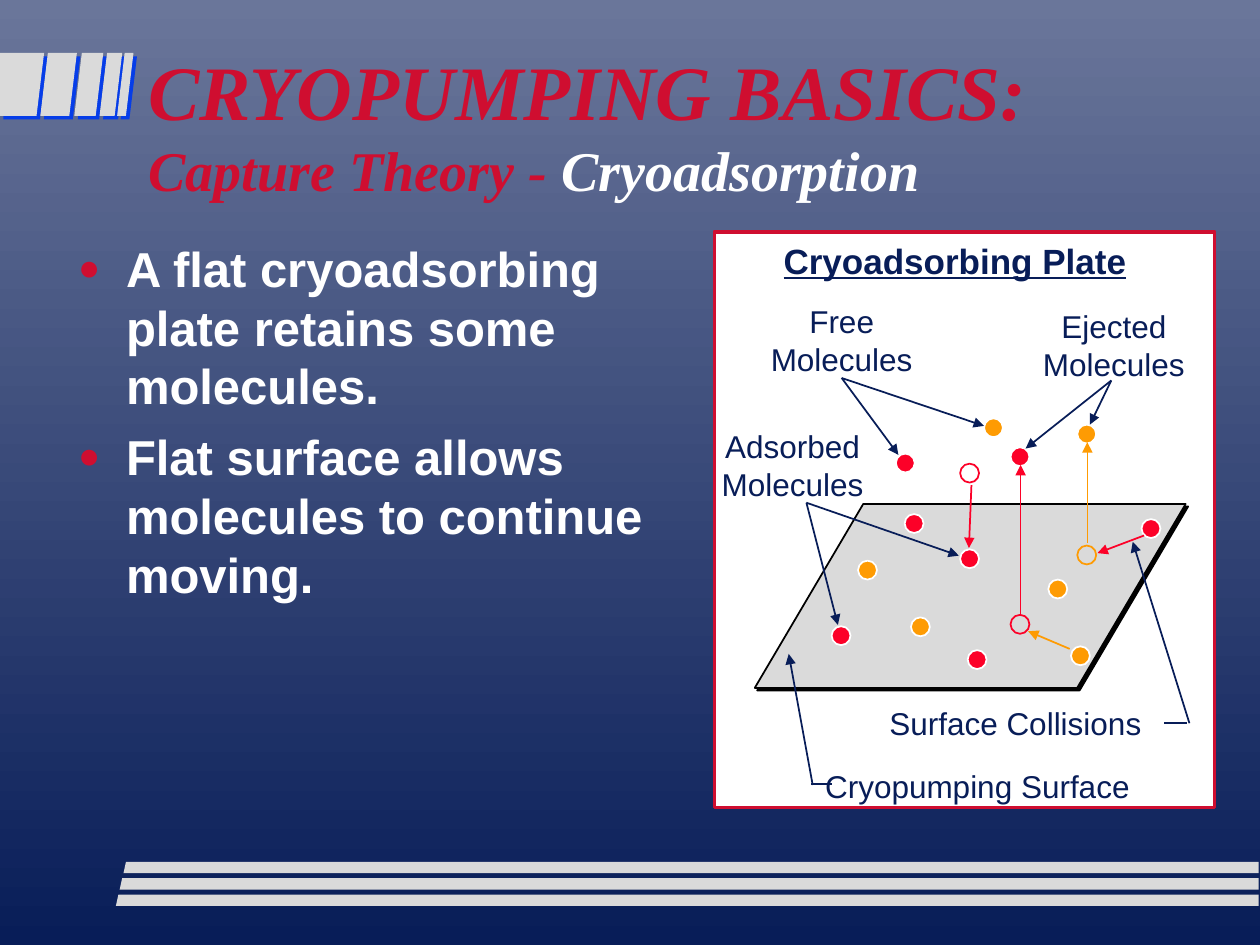
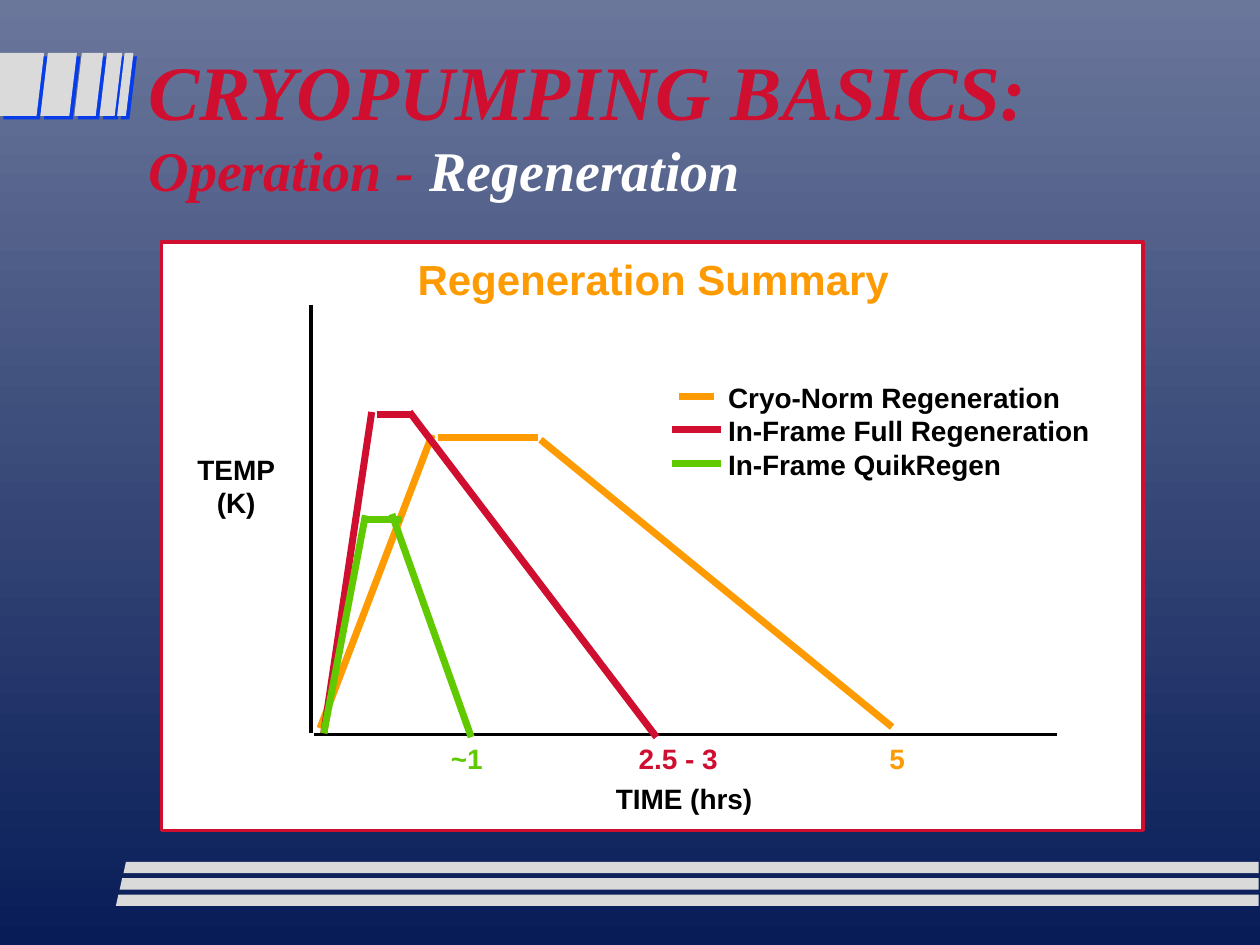
from typing import NamedTuple, Optional

from lxml import etree
from pptx import Presentation
from pptx.dml.color import RGBColor
from pptx.enum import shapes, text
from pptx.oxml.ns import qn
from pptx.util import Inches, Pt

SKY = RGBColor(0x6A, 0x76, 0x9A)
NAVY = RGBColor(0x08, 0x1D, 0x58)
CRIMSON = RGBColor(0xCF, 0x0E, 0x30)
RED = RGBColor(0xFC, 0x01, 0x28)
ORANGE = RGBColor(0xFE, 0x9B, 0x03)
GREEN = RGBColor(0x60, 0xC9, 0x00)
GREY = RGBColor(0xDA, 0xDA, 0xDA)
BLUE = RGBColor(0x06, 0x3D, 0xE8)
WHITE = RGBColor(0xFF, 0xFF, 0xFF)
BLACK = RGBColor(0, 0, 0)

HEADING_FONT, BODY_FONT = "Times New Roman", "Arial"
MOLECULE_SIZE = 0.15


class Label(NamedTuple):
    left: float
    top: float
    width: float
    height: float
    lines: tuple[str, ...]
    size: int
    color: RGBColor
    bold: bool = False
    underline: bool = False
    centered: bool = False


class Stroke(NamedTuple):
    x1: float
    y1: float
    x2: float
    y2: float
    color: RGBColor = NAVY
    width: float = 1
    arrow: bool = True


class Molecule(NamedTuple):
    left: float
    top: float
    color: RGBColor
    hollow: bool = False


# Top edges of the slanted blocks beside the title
TITLE_BLOCKS = ((0, 0.35), (0.38, 0.61), (0.65, 0.82), (0.85, 0.97), (0.99, 1.06))

PLATE_LABELS = (
    Label(6.12, 1.85, 3.02, 0.43, ("Cryoadsorbing Plate",), 20, NAVY, bold=True, underline=True),
    Label(8.13, 2.39, 1.42, 0.7, ("Ejected", "Molecules"), 18, NAVY, centered=True),
    Label(5.97, 2.35, 1.42, 0.7, ("Free", "Molecules"), 18, NAVY, centered=True),
    Label(5.58, 3.34, 1.42, 0.7, ("Adsorbed Molecules",), 18, NAVY, centered=True),
    Label(6.96, 5.54, 2.3, 0.4, ("Surface Collisions",), 18, NAVY),
    Label(6.45, 6.04, 2.72, 0.4, ("Cryopumping Surface",), 18, NAVY),
)

MOLECULES = (
    Molecule(7.11, 3.6, RED),
    Molecule(8.02, 3.55, RED),
    Molecule(9.06, 4.12, RED),
    Molecule(7.18, 4.08, RED),
    Molecule(7.62, 4.36, RED),
    Molecule(6.6, 4.97, RED),
    Molecule(7.68, 5.16, RED),
    Molecule(7.81, 3.32, ORANGE),
    Molecule(8.55, 3.37, ORANGE),
    Molecule(6.81, 4.45, ORANGE),
    Molecule(8.32, 4.6, ORANGE),
    Molecule(7.23, 4.9, ORANGE),
    Molecule(8.5, 5.13, ORANGE),
    Molecule(7.62, 3.68, RED, hollow=True),
    Molecule(8.02, 4.88, RED, hollow=True),
    Molecule(8.55, 4.33, ORANGE, hollow=True),
)

PLATE_STROKES = (
    # Label pointers
    Stroke(6.4, 3.99, 6.65, 4.96),
    Stroke(6.4, 3.99, 7.61, 4.41),
    Stroke(6.68, 3, 7.13, 3.61),
    Stroke(6.68, 3, 7.81, 3.38),
    Stroke(8.82, 3.02, 8.14, 3.56),
    Stroke(8.82, 3.02, 8.65, 3.37),
    Stroke(9.44, 5.74, 8.99, 4.3),
    Stroke(9.24, 5.74, 9.42, 5.74, arrow=False),
    Stroke(6.45, 6.23, 6.26, 5.19),
    Stroke(6.6, 6.22, 6.44, 6.22, arrow=False),
    # Molecule movements
    Stroke(8.63, 4.31, 8.63, 3.51, ORANGE),
    Stroke(8.49, 5.15, 8.16, 5.01, ORANGE),
    Stroke(9.08, 4.25, 8.71, 4.39, RED),
    Stroke(7.71, 3.85, 7.69, 4.35, RED),
    Stroke(8.1, 4.89, 8.1, 3.69, RED),
)

GRAPH_LABELS = (
    Label(4.79, 6.15, 1.4, 0.36, ("TIME (hrs)",), 16, BLACK, bold=True),
    Label(1.41, 3.54, 0.93, 0.63, ("TEMP", "(K)"), 16, BLACK, bold=True, centered=True),
    Label(6.96, 5.84, 0.42, 0.36, ("5",), 16, ORANGE, bold=True),
    Label(4.97, 5.84, 0.93, 0.36, ("2.5 - 3",), 16, CRIMSON, bold=True),
    Label(3.48, 5.84, 0.55, 0.36, ("~1",), 16, GREEN, bold=True),
    Label(5.68, 2.97, 3.25, 0.9,
          ("Cryo-Norm Regeneration", "In-Frame Full Regeneration", "In-Frame QuikRegen"),
          16, BLACK, bold=True),
)

AXES = ((2.47, 2.42, 2.47, 5.82), (2.49, 5.83, 8.39, 5.83))

# Legend key, then plateau, warm-up and cool-down of each regeneration
CURVES = {
    ORANGE: ((5.39, 3.15, 5.67, 3.15), (3.48, 3.47, 4.27, 3.47),
             (2.54, 5.78, 3.43, 3.45), (4.29, 3.49, 7.08, 5.77)),
    CRIMSON: ((5.33, 3.41, 5.72, 3.41), (2.99, 3.29, 3.28, 3.29),
              (2.57, 5.82, 2.95, 3.27), (3.25, 3.27, 5.21, 5.85)),
    GREEN: ((5.33, 3.68, 5.72, 3.68), (2.9, 4.12, 3.19, 4.12),
            (2.57, 5.82, 2.9, 4.09), (3.11, 4.08, 3.74, 5.85)),
}


def place(shape, left: float, top: float, width: float, height: float) -> None:
    shape.left, shape.top = Inches(left), Inches(top)
    shape.width, shape.height = Inches(width), Inches(height)


def paint(shape, fill: Optional[RGBColor], line: Optional[RGBColor], width: float = 1) -> None:
    """Set fill and outline; None leaves that part empty."""
    shape.shadow.inherit = False
    if fill is None:
        shape.fill.background()
    else:
        shape.fill.solid()
        shape.fill.fore_color.rgb = fill
    if line is None:
        shape.line.fill.background()
    else:
        shape.line.color.rgb = line
        shape.line.width = Pt(width)


def add_preset(page, kind, left: float, top: float, width: float, height: float,
               fill: Optional[RGBColor], line: RGBColor, line_width: float = 1):
    shape = page.shapes.add_shape(kind, Inches(left), Inches(top), Inches(width), Inches(height))
    paint(shape, fill, line, line_width)
    return shape


def add_polygon(page, points: list[tuple[float, float]]):
    corners = [(Inches(x), Inches(y)) for x, y in points]
    builder = page.shapes.build_freeform(*corners[0])
    builder.add_line_segments(corners[1:], close=True)
    shape = builder.convert_to_shape()
    paint(shape, GREY, None)
    return shape


def add_hard_shadow(shape) -> None:
    effects = shape._element.spPr.find(qn("a:effectLst"))
    shadow = etree.SubElement(effects, qn("a:outerShdw"), dist=str(Pt(2.8)), dir="2700000",
                              algn="ctr", rotWithShape="0")
    etree.SubElement(shadow, qn("a:srgbClr"), val=str(BLUE))


def add_stroke(page, stroke: Stroke) -> None:
    ends = [Inches(value) for value in stroke[:4]]
    connector = page.shapes.add_connector(shapes.MSO_CONNECTOR.STRAIGHT, *ends)
    connector.line.color.rgb = stroke.color
    connector.line.width = Pt(stroke.width)
    if stroke.arrow:
        etree.SubElement(connector.line._get_or_add_ln(), qn("a:tailEnd"), type="triangle")
    etree.SubElement(connector._element.spPr, qn("a:effectLst"))


def style(para, size: int, color: RGBColor, bold: bool, name: str = BODY_FONT) -> None:
    para.font.name, para.font.size, para.font.bold = name, Pt(size), bold
    para.font.color.rgb = color


def add_label(page, label: Label):
    box = page.shapes.add_textbox(*[Inches(value) for value in label[:4]])
    frame = box.text_frame
    frame.word_wrap = True
    frame.auto_size = text.MSO_AUTO_SIZE.SHAPE_TO_FIT_TEXT
    frame.text = "\n".join(label.lines)
    for para in frame.paragraphs:
        style(para, label.size, label.color, label.bold)
        if label.underline:
            para.font.underline = True
        if label.centered:
            para.alignment = text.PP_ALIGN.CENTER
    return box


def add_molecule(page, molecule: Molecule) -> None:
    fill, line = (None, molecule.color) if molecule.hollow else (molecule.color, WHITE)
    add_preset(page, shapes.MSO_SHAPE.OVAL, molecule.left, molecule.top,
               MOLECULE_SIZE, MOLECULE_SIZE, fill, line)


def add_page(deck, layout: int, topic: str, subject: str):
    """Add a slide with the shared background, bands and two-line title."""
    page = deck.slides.add_slide(deck.slide_layouts[layout])
    background = page.background.fill
    background.gradient()
    background.gradient_angle = 270
    for stop, color, position in zip(background.gradient_stops, (SKY, NAVY), (0, 1)):
        stop.color.rgb, stop.position = color, position

    for left, right in TITLE_BLOCKS:
        block = add_polygon(page, [(left, 0.42), (right, 0.42), (right - 0.06, 0.92),
                                   (max(0, left - 0.06), 0.92)])
        add_hard_shadow(block)
    for row in range(3):
        top, left = 6.84 + 0.13 * row, 0.98 - 0.03 * row
        add_polygon(page, [(left + 0.02, top), (9.99, top), (9.99, top + 0.09), (left, top + 0.09)])

    title = page.shapes.title
    place(title, 1.08, 0.33, 8.5, 1.29)
    title.text_frame.auto_size = text.MSO_AUTO_SIZE.NONE
    para = title.text_frame.paragraphs[0]
    para.alignment = text.PP_ALIGN.LEFT
    style(para, 44, CRIMSON, True, HEADING_FONT)
    para.font.italic = True
    para.add_run().text = "CRYOPUMPING BASICS:"
    para.add_line_break()
    for words, color in ((f"{topic} - ", CRIMSON), (subject, WHITE)):
        span = para.add_run()
        span.text = words
        span.font.size = Pt(32)
        span.font.color.rgb = color
    return page


def fill_bullets(body, items: tuple[str, ...]) -> None:
    frame = body.text_frame
    frame.auto_size = text.MSO_AUTO_SIZE.NONE
    frame.text = "\n".join(items)
    for para in frame.paragraphs:
        props = para._p.get_or_add_pPr()
        props.set("marL", str(Inches(0.38)))
        props.set("indent", str(-Inches(0.38)))
        color = etree.SubElement(props, qn("a:buClr"))
        etree.SubElement(color, qn("a:srgbClr"), val=str(CRIMSON))
        etree.SubElement(props, qn("a:buSzPct"), val="75000")
        etree.SubElement(props, qn("a:buChar"), char="●")
        para.space_before = Pt(7)
        style(para, 28, WHITE, True)


def build_cryoadsorption(deck) -> None:
    page = add_page(deck, 1, "Capture Theory", "Cryoadsorption")
    body = page.placeholders[1]
    place(body, 0.52, 1.84, 5.15, 4.57)
    fill_bullets(body, ("A flat cryoadsorbing plate retains some molecules.",
                        "Flat surface allows molecules to continue moving."))

    add_preset(page, shapes.MSO_SHAPE.RECTANGLE, 5.67, 1.84, 3.97, 4.57, WHITE, CRIMSON, 2)
    for offset, fill in ((0.02, BLACK), (0, GREY)):
        plate = add_preset(page, shapes.MSO_SHAPE.PARALLELOGRAM, 5.99 + offset, 4 + offset,
                           3.42, 1.46, fill, BLACK)
        plate.adjustments[0] = 0.59
    for label in PLATE_LABELS:
        add_label(page, label)
    for molecule in MOLECULES:
        add_molecule(page, molecule)
    for stroke in PLATE_STROKES:
        add_stroke(page, stroke)


def build_regeneration(deck) -> None:
    page = add_page(deck, 5, "Operation", "Regeneration")
    add_preset(page, shapes.MSO_SHAPE.RECTANGLE, 1.28, 1.92, 7.79, 4.67, WHITE, CRIMSON, 2)
    heading = add_label(page, Label(2.95, 2.14, 4.47, 0.3, ("Regeneration Summary",), 24, ORANGE,
                                    bold=True, centered=True))
    para = heading.text_frame.paragraphs[0]
    para.line_spacing, para.space_before = 0.5, Pt(15)
    for axis in AXES:
        add_stroke(page, Stroke(*axis, BLACK, 2, arrow=False))
    for label in GRAPH_LABELS:
        add_label(page, label)
    for color, segments in CURVES.items():
        for segment in segments:
            add_stroke(page, Stroke(*segment, color, 4, arrow=False))


def main() -> None:
    deck = Presentation()
    deck.slide_width, deck.slide_height = Inches(10), Inches(7.5)
    build_cryoadsorption(deck)
    build_regeneration(deck)
    deck.save("out.pptx")


if __name__ == "__main__":
    main()
